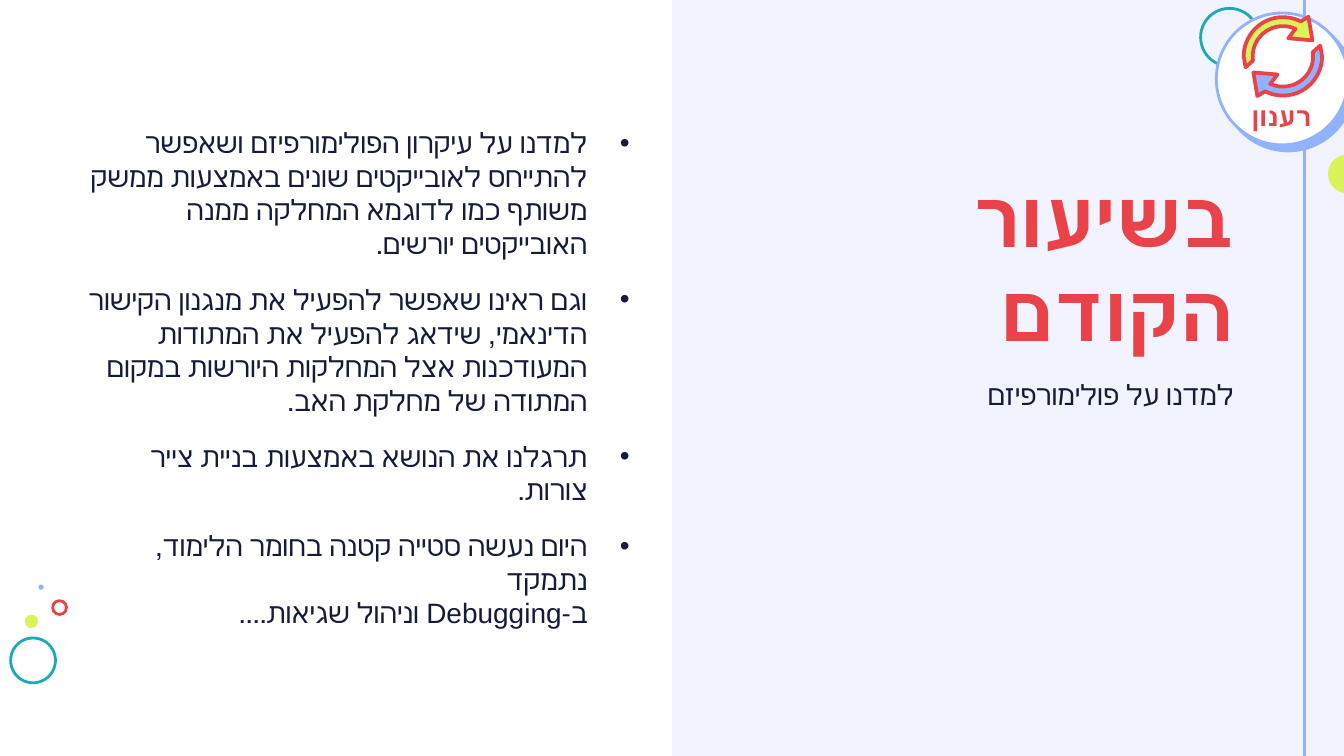
from math import cos, radians, sin

from lxml import etree
from pptx import Presentation
from pptx.dml.color import RGBColor
from pptx.enum import shapes, text
from pptx.oxml import ns
from pptx.util import Pt

RED, BLUE, TEAL, LIME = "E94249", "91B3FF", "1CABB5", "DCF25B"
INK, PANEL, WHITE = "141C3A", "F1F3FE", "FFFFFF"

POINTS = [
    "למדנו על עיקרון הפולימורפיזם ושאפשר להתייחס לאובייקטים שונים באמצעות "
    "ממשק משותף כמו לדוגמא המחלקה ממנה האובייקטים יורשים.",
    "וגם ראינו שאפשר להפעיל את מנגנון הקישור הדינאמי, שידאג להפעיל את המתודות "
    "המעודכנות אצל המחלקות היורשות במקום המתודה של מחלקת האב.",
    "תרגלנו את הנושא באמצעות בניית צייר צורות.",
    "היום נעשה סטייה קטנה בחומר הלימוד, נתמקד \vב-Debugging וניהול שגיאות....",
]


def color(value):
    return RGBColor.from_string(value)


def add_node(parent, tag, **attributes):
    return etree.SubElement(parent, ns.qn(tag), attributes)


def arc(radius, start, end, steps=24):
    """Points on a circle around the origin, angles in degrees, y downwards."""
    angles = [radians(start + (end - start) * i / steps) for i in range(steps + 1)]
    return [(radius * cos(a), -radius * sin(a)) for a in angles]


class SlideWriter:
    font = "Arial"
    line_width = 1.5

    def __init__(self, page):
        self.page = page

    def paint(self, shape, fill, line, width=line_width):
        shape.shadow.inherit = False
        if fill:
            shape.fill.solid()
            shape.fill.fore_color.rgb = color(fill)
        else:
            shape.fill.background()
        if line:
            shape.line.color.rgb = color(line)
            shape.line.width = Pt(width)
        else:
            shape.line.fill.background()
        return shape

    def rectangle(self, left, top, width, height, fill):
        shape = self.page.shapes.add_shape(
            shapes.MSO_SHAPE.RECTANGLE, Pt(left), Pt(top), Pt(width), Pt(height))
        return self.paint(shape, fill, None)

    def circle(self, left, top, size, fill=None, line=None):
        shape = self.page.shapes.add_shape(
            shapes.MSO_SHAPE.OVAL, Pt(left), Pt(top), Pt(size), Pt(size))
        return self.paint(shape, fill, line)

    def hard_shadow(self, shape, value, distance, degrees):
        effects = shape._element.spPr.find(ns.qn("a:effectLst"))
        shadow = add_node(effects, "a:outerShdw", blurRad="0", dist=str(Pt(distance)),
                          dir=str(degrees * 60000), algn="bl", rotWithShape="0")
        add_node(shadow, "a:srgbClr", val=value)

    def vertical_line(self, x, top, bottom, value):
        line = self.page.shapes.add_connector(
            shapes.MSO_CONNECTOR.STRAIGHT, Pt(x), Pt(top), Pt(x), Pt(bottom))
        line.line.color.rgb = color(value)
        line.line.width = Pt(self.line_width)
        add_node(line._element.spPr, "a:effectLst")

    def outline(self, points, fill, line, width):
        corners = [(Pt(x), Pt(y)) for x, y in points]
        builder = self.page.shapes.build_freeform(*corners[0])
        builder.add_line_segments(corners[1:], close=True)
        self.paint(builder.convert_to_shape(), fill, line, width)

    def text(self, left, top, width, height, lines, size, value, bold=False,
             anchor=text.MSO_ANCHOR.TOP, align=text.PP_ALIGN.RIGHT,
             spacing=None, bullet=False):
        """Add a right-to-left text box, one paragraph per line."""
        box = self.page.shapes.add_textbox(Pt(left), Pt(top), Pt(width), Pt(height))
        frame = box.text_frame
        frame.word_wrap = True
        frame.vertical_anchor = anchor
        frame.margin_left = frame.margin_right = 0
        frame.margin_top = frame.margin_bottom = 0
        for i, line in enumerate(lines):
            para = frame.add_paragraph() if i else frame.paragraphs[0]
            para.text = line
            para.alignment = align
            para.line_spacing = spacing
            properties = para._p.get_or_add_pPr()
            properties.set("rtl", "1")
            if bullet:
                para.space_before = Pt(12 if i else 0)
                para.space_after = Pt(12 if i == len(lines) - 1 else 0)
                self.bullet(properties, value)
            para.font.size = Pt(size)
            para.font.bold = bold
            para.font.name = self.font
            para.font.color.rgb = color(value)

    def bullet(self, properties, value, indent=22.5):
        properties.set("marL", str(Pt(indent)))
        properties.set("indent", str(Pt(-indent)))
        add_node(add_node(properties, "a:buClr"), "a:srgbClr", val=value)
        add_node(properties, "a:buFont", typeface=self.font)
        add_node(properties, "a:buChar", char="•")

    def refresh_icon(self, x, y):
        """Two curved arrows, the second turned half a circle."""
        head = [(13.7, -21.2), (15.8, -8.6), (2.9, -9.7), (6.8, -14.8)]
        arrow = [(-20, 5.8), *arc(21, 180, 63), *head, *arc(16.2, 65, 188)]
        for turn, fill in ((1, LIME), (-1, BLUE)):
            self.outline([(x + turn * dx, y + turn * dy) for dx, dy in arrow],
                         fill, RED, 2)


def main():
    deck = Presentation()
    deck.slide_width, deck.slide_height = Pt(720), Pt(405)
    writer = SlideWriter(deck.slides.add_slide(deck.slide_layouts[6]))

    writer.rectangle(360, 0, 360, 405, PANEL)
    writer.circle(643.2, 4.5, 31, line=TEAL)
    writer.vertical_line(699, -6, 408, BLUE)
    badge = writer.circle(651.6, 7, 70.6, WHITE, BLUE)
    writer.hard_shadow(badge, BLUE, 4.5, 46)
    writer.circle(5.7, 341.8, 24, line=TEAL)
    writer.circle(711.4, 82.8, 20.8, LIME)
    writer.circle(13.3, 329.3, 7.2, LIME)
    writer.circle(28.2, 321.8, 7.4, line=RED)
    writer.circle(20.6, 313.2, 2.8, BLUE)

    writer.text(395.3, 78.5, 265.7, 113, ["בשיעור הקודם"], 42, RED, bold=True,
                anchor=text.MSO_ANCHOR.BOTTOM)
    writer.text(395.3, 202.3, 265.7, 164, ["למדנו על פולימורפיזם"], 15, INK)
    writer.text(42.5, 42.5, 294.8, 319.7, POINTS, 15, INK,
                anchor=text.MSO_ANCHOR.MIDDLE, bullet=True)
    writer.text(658, 46.8, 57, 23.8, ["רענון"], 14, RED, bold=True, spacing=0.8,
                anchor=text.MSO_ANCHOR.BOTTOM, align=text.PP_ALIGN.CENTER)
    writer.refresh_icon(687.3, 30.2)
    deck.save("out.pptx")


if __name__ == "__main__":
    main()
